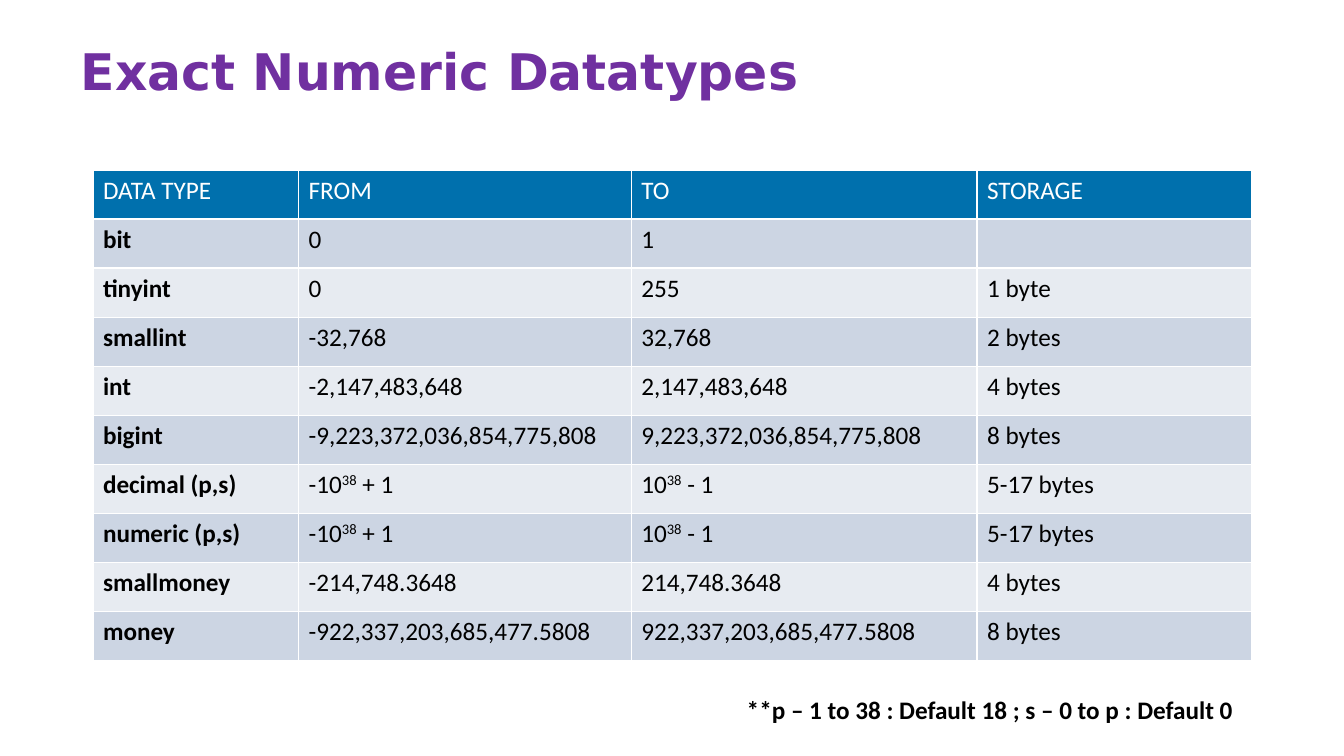
"""Build a slide with a table of the exact numeric datatypes."""
from lxml.etree import SubElement
from pptx import Presentation
from pptx.dml.color import RGBColor
from pptx.enum.text import MSO_ANCHOR
from pptx.oxml.ns import qn
from pptx.util import Pt

PURPLE = RGBColor(0x70, 0x30, 0xA0)
BLUE = RGBColor(0x00, 0x70, 0xAD)
DARK_BAND = RGBColor(0xCC, 0xD5, 0xE3)
LIGHT_BAND = RGBColor(0xE7, 0xEB, 0xF1)
WHITE = RGBColor(0xFF, 0xFF, 0xFF)
BLACK = RGBColor(0x00, 0x00, 0x00)

DATATYPES = [
    ("DATA TYPE", "FROM", "TO", "STORAGE"),
    ("bit", "0", "1", ""),
    ("tinyint", "0", "255", "1 byte"),
    ("smallint", "-32,768", "32,768", "2 bytes"),
    ("int", "-2,147,483,648", "2,147,483,648", "4 bytes"),
    ("bigint", "-9,223,372,036,854,775,808", "9,223,372,036,854,775,808", "8 bytes"),
    ("decimal (p,s)", "-10^38^ + 1", "10^38^ - 1", "5-17 bytes"),
    ("numeric (p,s)", "-10^38^ + 1", "10^38^ - 1", "5-17 bytes"),
    ("smallmoney", "-214,748.3648", "214,748.3648", "4 bytes"),
    ("money", "-922,337,203,685,477.5808", "922,337,203,685,477.5808", "8 bytes"),
]
COLUMN_WIDTHS = [146.9, 237.6, 247, 196.5]
ROW_HEIGHT = 35.06


def write(frame, text, size=18, font="Calibri", color=BLACK, bold=False):
    """Write text into a frame; parts between carets are superscript."""
    paragraph = frame.paragraphs[0]
    for index, part in enumerate(text.split("^")):
        run = paragraph.add_run()
        run.text = part
        run.font.size = Pt(size)
        run.font.name = font
        run.font.bold = bold
        run.font.color.rgb = color
        if index % 2:
            run._r.get_or_add_rPr().set("baseline", "30000")
    return paragraph


def add_borders(cell):
    """Draw a thin white line on each side of a cell."""
    for side in ("a:lnL", "a:lnR", "a:lnT", "a:lnB"):
        line = SubElement(cell._tc.get_or_add_tcPr(), qn(side), w=str(Pt(1)))
        SubElement(SubElement(line, qn("a:solidFill")), qn("a:srgbClr"), val=str(WHITE))


deck = Presentation()
deck.slide_width, deck.slide_height = Pt(960), Pt(540)
slide = deck.slides.add_slide(deck.slide_layouts[6])

title = slide.shapes.add_textbox(Pt(57.6), Pt(33.8), Pt(828), Pt(104.4)).text_frame
title.word_wrap = True
title.vertical_anchor = MSO_ANCHOR.TOP
title.margin_left = title.margin_top = title.margin_right = title.margin_bottom = 0
heading = write(title, "Exact Numeric Datatypes", size=36, font="DejaVu Sans",
                color=PURPLE, bold=True)
heading.line_spacing = 0.9

datatypes = slide.shapes.add_table(
    len(DATATYPES), len(COLUMN_WIDTHS), Pt(66.4), Pt(121.4),
    Pt(sum(COLUMN_WIDTHS)), Pt(ROW_HEIGHT * len(DATATYPES))).table
for column, width in zip(datatypes.columns, COLUMN_WIDTHS):
    column.width = Pt(width)
for row_index, values in enumerate(DATATYPES):
    datatypes.rows[row_index].height = Pt(ROW_HEIGHT)
    is_header = row_index == 0
    band = BLUE if is_header else DARK_BAND if row_index % 2 else LIGHT_BAND
    for column_index, value in enumerate(values):
        cell = datatypes.cell(row_index, column_index)
        add_borders(cell)
        cell.fill.solid()
        cell.fill.fore_color.rgb = band
        if value:
            write(cell.text_frame, value, color=WHITE if is_header else BLACK,
                  bold=column_index == 0 and not is_header)

footnote = slide.shapes.add_textbox(Pt(526.3), Pt(492.5), Pt(367.9), Pt(29)).text_frame
footnote.word_wrap = False
write(footnote, "**p – 1 to 38 : Default 18 ; s – 0 to p : Default 0", bold=True)

deck.save("out.pptx")
